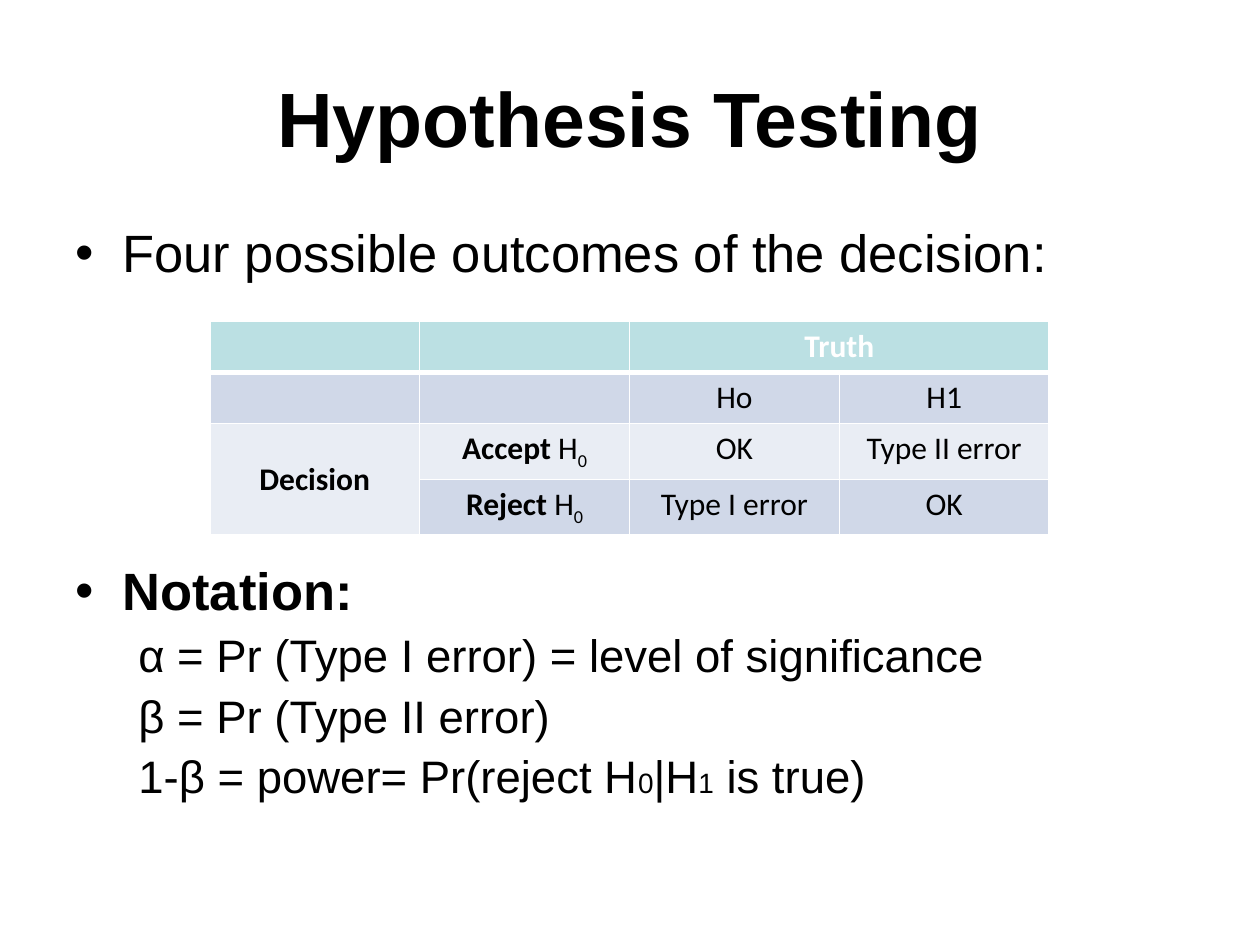
from lxml.etree import SubElement
from pptx import Presentation
from pptx.dml.color import RGBColor
from pptx.enum.text import MSO_ANCHOR as Anchor, PP_ALIGN as Align
from pptx.oxml.ns import qn
from pptx.util import Cm, Pt

BLACK, WHITE = "000000", "FFFFFF"
TITLE = "Hypothesis Testing"
BULLETS = [
    {"runs": [("Four possible outcomes of the decision:", 30, False)], "before": 6, "bullet": True},
    {"runs": [("Notation:", 30, True)], "before": 161, "bullet": True},
    {"runs": [("α = Pr (Type I error) = level of significance", 26, False)], "before": 6.5},
    {"runs": [("β = Pr (Type II error)", 26, False)], "before": 6.5},
    {"runs": [("1-β = power= Pr(reject H", 26, False), ("0", 16, False), ("|H", 26, False),
              ("1", 16, False), (" is true)", 26, False)], "before": 6.5},
]
OUTCOMES = [
    ["", "", "Truth", ""],
    ["", "", "Ho", "H1"],
    ["Decision", ("Accept ", "H", "0"), "OK", "Type II error"],
    ["", ("Reject ", "H", "0"), "Type I error", "OK"],
]
BOLD_CELLS = ("Truth", "Decision")
ROW_FILLS = ["BBE0E3", "D0D8E8", "E9EDF4", "D0D8E8"]
MERGES = [((0, 2), (0, 3)), ((2, 0), (3, 0))]
COLUMN_WIDTH, ROW_HEIGHT = Cm(4.23), Cm(1.03)


def color(value):
    return RGBColor.from_string(value)


def add_span(para, text, size, bold=False, font="Arial", ink=BLACK):
    span = para.add_run()
    span.text = text
    span.font.size = Pt(size)
    span.font.bold = bold
    span.font.name = font
    span.font.color.rgb = color(ink)
    return span


def add_box(page, left, top, width, height, anchor):
    box = page.shapes.add_textbox(Cm(left), Cm(top), Cm(width), Cm(height))
    box.text_frame.word_wrap = True
    box.text_frame.vertical_anchor = anchor
    return box.text_frame


def set_indent(para, margin, hanging, bullet):
    props = para._p.get_or_add_pPr()
    props.set("marL", str(Cm(margin)))
    props.set("indent", str(-Cm(hanging)))
    if bullet:
        SubElement(props, qn("a:buFont"), typeface="Arial")
        SubElement(props, qn("a:buChar"), char="•")
    else:
        SubElement(props, qn("a:buNone"))


def style_cell(cell, row):
    props = cell._tc.get_or_add_tcPr()
    thick_side = {0: "lnB", 1: "lnT"}.get(row)
    for side in ("lnL", "lnR", "lnT", "lnB"):
        line = SubElement(props, qn(f"a:{side}"), w=str(Pt(3 if side == thick_side else 1)))
        SubElement(SubElement(line, qn("a:solidFill")), qn("a:srgbClr"), val=WHITE)
    cell.fill.solid()
    cell.fill.fore_color.rgb = color(ROW_FILLS[row])


def fill_cell(cell, content, ink):
    para = cell.text_frame.paragraphs[0]
    para.alignment = Align.CENTER
    if isinstance(content, tuple):
        verb, symbol, index = content
        add_span(para, verb, 18, True, "Calibri", ink)
        add_span(para, symbol, 18, False, "Calibri", ink)
        subscript = add_span(para, index, 18, False, "Calibri", ink)
        subscript.font._element.set("baseline", "-25000")
    elif content:
        add_span(para, content, 18, content in BOLD_CELLS, "Calibri", ink)


deck = Presentation()
deck.slide_width, deck.slide_height = Cm(25.4), Cm(19.05)
page = deck.slides.add_slide(deck.slide_layouts[6])

title = add_box(page, 1.27, 0.76, 22.86, 3.18, Anchor.MIDDLE).paragraphs[0]
title.alignment = Align.CENTER
add_span(title, TITLE, 44, True)

body = add_box(page, 1.27, 4.45, 22.86, 12.57, Anchor.TOP)
for number, item in enumerate(BULLETS):
    para = body.add_paragraph() if number else body.paragraphs[0]
    para.line_spacing = 0.9
    para.space_before = Pt(item["before"])
    if item.get("bullet"):
        set_indent(para, 0.95, 0.95, True)
    else:
        para.level = 1
        set_indent(para, 2.06, 0.79, False)
    for text, size, bold in item["runs"]:
        add_span(para, text, size, bold)

rows, columns = len(OUTCOMES), len(OUTCOMES[0])
table = page.shapes.add_table(rows, columns, Cm(4.23), Cm(6.48),
                              COLUMN_WIDTH * columns, ROW_HEIGHT * rows).table
for column in table.columns:
    column.width = COLUMN_WIDTH
for row, contents in enumerate(OUTCOMES):
    table.rows[row].height = ROW_HEIGHT
    for column, content in enumerate(contents):
        cell = table.cell(row, column)
        style_cell(cell, row)
        fill_cell(cell, content, BLACK if row else WHITE)
for first, last in MERGES:
    table.cell(*first).merge(table.cell(*last))
table.cell(2, 0).vertical_anchor = Anchor.MIDDLE

deck.save("out.pptx")
